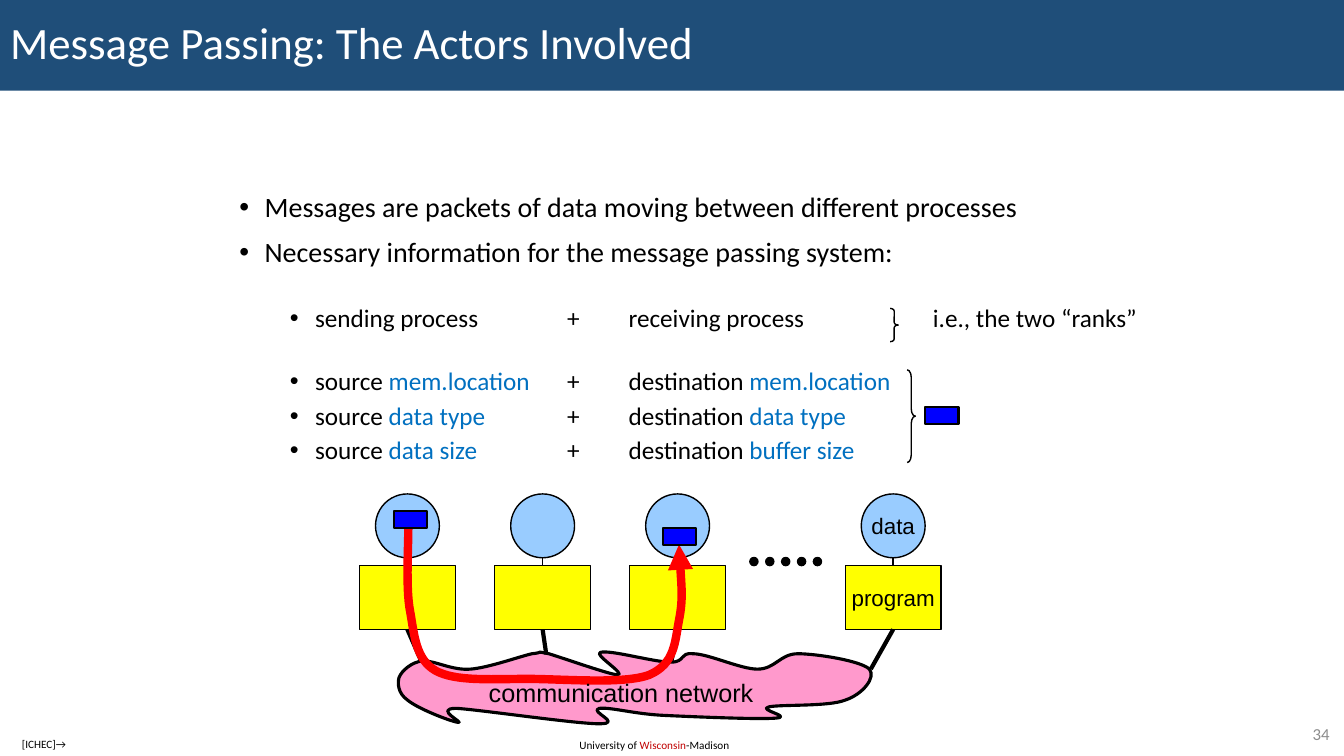
from dataclasses import dataclass
from lxml.etree import SubElement
from pptx import Presentation
from pptx.dml.color import RGBColor
from pptx.enum.shapes import MSO_CONNECTOR as CONN, MSO_SHAPE as SHAPE
from pptx.enum.text import MSO_ANCHOR as ANCHOR, MSO_AUTO_SIZE as AUTO, PP_ALIGN as ALIGN
from pptx.oxml.ns import qn
from pptx.util import Pt


@dataclass(frozen=True)
class Theme:
    banner: str = "1F4E79"
    white: str = "FFFFFF"
    ink: str = "000000"
    grey: str = "8C8C8C"
    accent: str = "0070C0"
    crimson: str = "C00000"
    memory: str = "99CCFF"
    program: str = "FFFF00"
    network: str = "FF99CC"
    packet: str = "0000FF"
    route: str = "FF0000"
    body_font: str = "Calibri"
    diagram_font: str = "Arial"
    title: int = 32
    bullet: int = 20
    sub_bullet: int = 18
    label: int = 16
    number: int = 12
    footer: int = 8


T = Theme()


def write(p, text, size, color=T.ink, font=T.body_font):
    r = p.add_run()
    r.text = text
    for name, value in {"size": Pt(size), "name": font}.items():
        setattr(r.font, name, value)
    r.font.color.rgb = RGBColor.from_string(color)


def style(sp, fill, weight, line=T.ink):
    sp.shadow.inherit = False
    if fill:
        sp.fill.solid()
        sp.fill.fore_color.rgb = RGBColor.from_string(fill)
    else:
        sp.fill.background()
    sp.line.color.rgb = RGBColor.from_string(line)
    sp.line.width = Pt(weight)
    return sp


prs = Presentation()
prs.slide_width, prs.slide_height = Pt(960), Pt(540)
slide = prs.slides.add_slide(prs.slide_layouts[1])
shapes = slide.shapes

title, body = shapes.title, slide.placeholders[1]
for sp, box in ((title, (0, 0, 960, 64.8)), (body, (163.8, 134.6, 666, 203.8))):
    for name, value in zip(("left", "top", "width", "height"), box):
        setattr(sp, name, Pt(value))
    sp.text_frame.auto_size = AUTO.NONE
    sp.text_frame.word_wrap = True

title.fill.solid()
title.fill.fore_color.rgb = RGBColor.from_string(T.banner)
title.text_frame.vertical_anchor = ANCHOR.MIDDLE
p = title.text_frame.paragraphs[0]
p.alignment, p.line_spacing = ALIGN.LEFT, 0.9
write(p, "Message Passing: The Actors Involved", T.title, T.white)

bullets = [
    (0, 10, ["Messages are packets of data moving between different processes"]),
    (0, 10.4, ["Necessary information for the message passing system:"]),
    (1, 26.6, ["sending process\t+\treceiving process\ti.e., the two “ranks”"]),
    (1, 25.5, ["source ", "mem.location\t", "+\tdestination ", "mem.location"]),
    (1, 5.3, ["source ", "data type\t", "+\tdestination ", "data type"]),
    (1, 5.3, ["source ", "data size\t", "+\tdestination ", "buffer size"]),
]
tf = body.text_frame
for i, (level, before, parts) in enumerate(bullets):
    p = tf.add_paragraph() if i else tf.paragraphs[0]
    for name, value in {"level": level, "line_spacing": 0.9, "space_before": Pt(before)}.items():
        setattr(p, name, value)
    pPr = p._p.get_or_add_pPr()
    pPr.set("marL", str(Pt(54 if level else 18)))
    pPr.set("indent", str(Pt(-18)))
    SubElement(pPr, qn("a:buFont"), typeface=T.diagram_font)
    SubElement(pPr, qn("a:buChar"), char="•")
    if level:
        tabs = SubElement(pPr, qn("a:tabLst"))
        for stop in (234, 278, 495.4):
            SubElement(tabs, qn("a:tab"), pos=str(Pt(stop)), algn="l")
    for j, part in enumerate(parts):
        write(p, part, T.sub_bullet if level else T.bullet, T.accent if j % 2 else T.ink)

memory_d, program_w, program_h = 45.6, 68.4, 45.6
memory_y, program_y = 352.8, 404
program_end = program_y + program_h
nodes = [
    (291, "", "", (301, 472.5)),
    (387.6, "", "", (390.2, 467.3)),
    (484, "", "", (479.5, 473)),
    (638, "data", "program", (622, 478)),
]
links = []
for x, data, program, network_end in nodes:
    for kind, label, fill, y, w, h in (
        (SHAPE.OVAL, data, T.memory, memory_y, memory_d, memory_d),
        (SHAPE.RECTANGLE, program, T.program, program_y, program_w, program_h),
    ):
        sp = style(shapes.add_shape(kind, Pt(x - w / 2), Pt(y), Pt(w), Pt(h)), fill, 1)
        if label:
            tf = sp.text_frame
            tf.word_wrap, tf.vertical_anchor = False, ANCHOR.MIDDLE
            tf.paragraphs[0].alignment = ALIGN.CENTER
            write(tf.paragraphs[0], label, T.label, font=T.diagram_font)
    links.append((x, memory_y + memory_d, x, program_y, 1))
    links.append((x, program_end, *network_end, 3))

for i in range(5):
    style(shapes.add_shape(SHAPE.OVAL, Pt(535.6 + 11.35 * i), Pt(398.2), Pt(5.8), Pt(5.8)), T.ink, 1)

network = [
    (302, 472), (311, 472), (323, 479), (336, 478), (349, 477), (371, 469), (380, 467),
    (390, 466), (381, 465), (392, 467), (402, 470), (436, 482), (441, 482),
    (448, 482), (423, 467), (429, 466), (436, 464), (467, 473), (479, 473),
    (490, 473), (485, 466), (495, 467), (506, 467), (529, 478), (541, 478),
    (554, 478), (557, 467), (570, 467), (583, 467), (615, 472), (621, 478),
    (626, 484), (616, 496), (604, 500), (592, 505), (557, 503), (549, 505),
    (541, 507), (567, 512), (554, 513), (542, 514), (495, 512), (474, 511),
    (453, 510), (436, 505), (428, 506), (420, 508), (446, 517), (428, 517),
    (411, 517), (343, 507), (326, 506), (309, 506), (333, 517), (327, 516),
    (321, 515), (298, 506), (291, 500), (284, 495), (284, 488), (285, 484),
    (287, 479), (294, 473), (302, 472),
]
route = [
    (291.6, 376), (292, 386), (289.5, 420), (293, 437), (296, 454), (297, 471), (311, 479),
    (325, 487), (351, 485), (377, 485), (402, 485), (446, 489), (464, 482),
    (482, 474), (482, 459), (485, 443), (488, 428), (486, 408), (485, 389),
]
curves = []
for knots, closed, fill, weight, line in (
    (network, True, T.network, 2.25, T.ink),
    (route, False, None, 6, T.route),
):
    start, *rest = [(Pt(x), Pt(y)) for x, y in knots]
    builder = shapes.build_freeform(*start)
    builder.add_line_segments(rest, close=closed)
    sp = style(builder.convert_to_shape(), fill, weight, line)
    segments = list(sp._element.iter(qn("a:lnTo")))
    for k in range(0, len(segments), 3):
        bezier = segments[k]
        bezier.tag = qn("a:cubicBezTo")
        for segment in segments[k + 1:k + 3]:
            bezier.append(segment[0])
            segment.getparent().remove(segment)
    curves.append(sp)

for x1, y1, x2, y2, weight in links:
    link = shapes.add_connector(CONN.STRAIGHT, Pt(x1), Pt(y1), Pt(x2), Pt(y2))
    link.line.color.rgb = RGBColor.from_string(T.ink)
    link.line.width = Pt(weight)
    SubElement(link._element.spPr, qn("a:effectLst"))

arrow = curves[1]
SubElement(arrow.line._get_or_add_ln(), qn("a:tailEnd"), type="triangle")
shapes._spTree.append(arrow._element)

for x, y in ((281.2, 365), (473.3, 377), (660.9, 290.9)):
    style(shapes.add_shape(SHAPE.RECTANGLE, Pt(x), Pt(y), Pt(23.8), Pt(12.2)), T.packet, 1.5)

for x, y, h, curl in ((635.8, 220.3, 23.8, 0.333), (648, 264.2, 66.2, 0.917)):
    brace = style(shapes.add_shape(SHAPE.RIGHT_BRACE, Pt(x), Pt(y), Pt(5.8), Pt(h)), None, 1)
    brace.adjustments[0], brace.adjustments[1] = curl, 0.5

labels = [
    ((342, 480, 210, 29.5), ALIGN.LEFT, [("communication network", T.sub_bullet, T.ink, T.diagram_font)]),
    ((406.8, 523.8, 124, 17.3), ALIGN.LEFT, [
        ("University of ", T.footer), ("Wisconsin", T.footer, T.crimson), ("-Madison", T.footer)]),
    ((902.2, 513.4, 54.7, 20.9), ALIGN.RIGHT, [("34", T.number, T.grey)]),
    ((8.6, 523.1, 52, 17.3), ALIGN.LEFT, [("[ICHEC]→", T.footer)]),
]
for box, align, runs in labels:
    tf = shapes.add_textbox(*map(Pt, box)).text_frame
    tf.word_wrap = True
    tf.paragraphs[0].alignment = align
    for run in runs:
        write(tf.paragraphs[0], *run)

prs.save("out.pptx")
